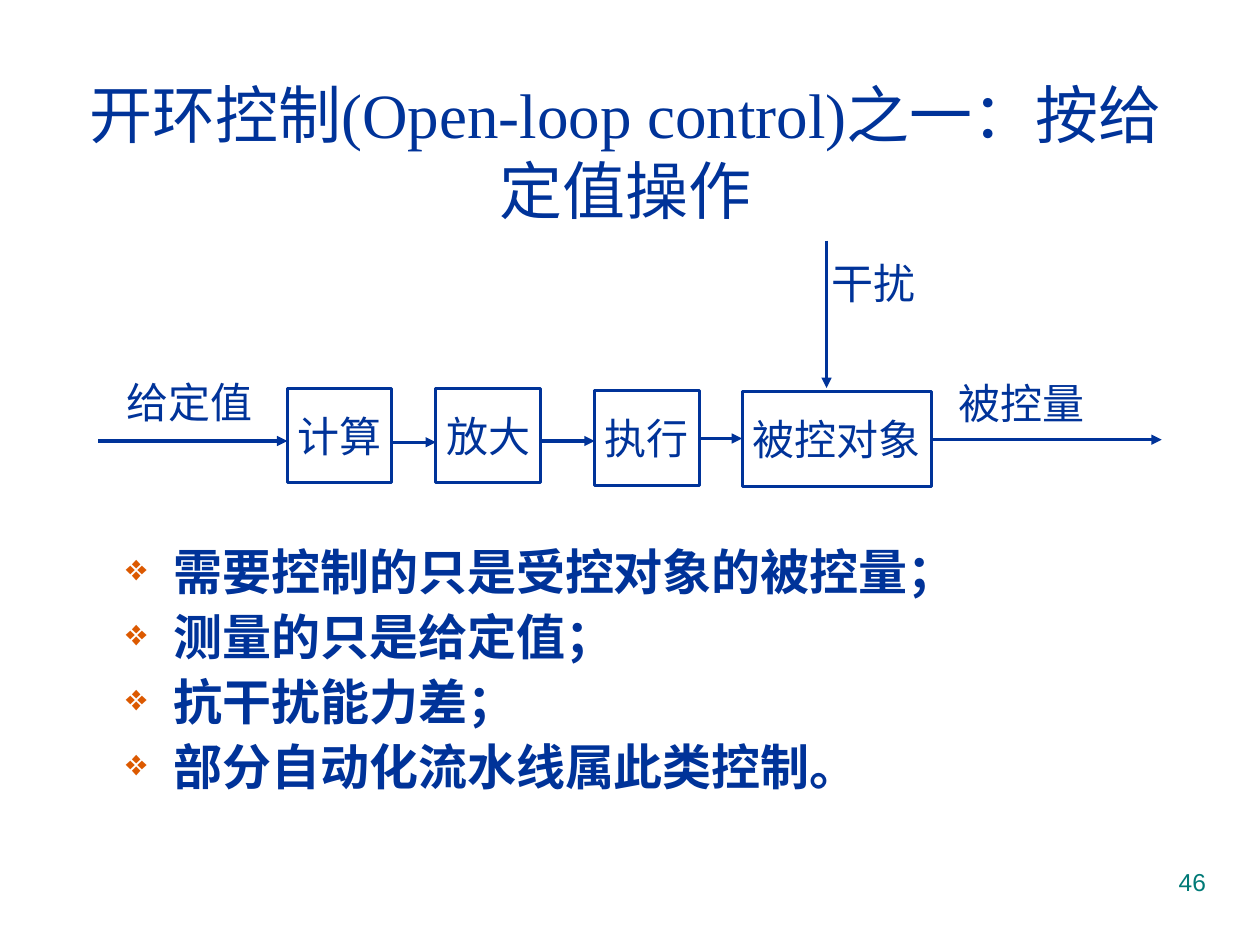
from dataclasses import dataclass

from lxml import etree
from pptx import Presentation
from pptx.dml.color import RGBColor
from pptx.enum.shapes import MSO_CONNECTOR, MSO_SHAPE
from pptx.enum.text import MSO_ANCHOR, MSO_AUTO_SIZE, PP_ALIGN
from pptx.oxml.ns import qn
from pptx.util import Inches, Pt

LEFT, CENTER, RIGHT = PP_ALIGN.LEFT, PP_ALIGN.CENTER, PP_ALIGN.RIGHT
TOP, MIDDLE = MSO_ANCHOR.TOP, MSO_ANCHOR.MIDDLE
STRAIGHT, RECT = MSO_CONNECTOR.STRAIGHT, MSO_SHAPE.RECTANGLE
NO_FIT = MSO_AUTO_SIZE.NONE


@dataclass(frozen=True)
class Theme:
    blue: str = "003399"
    teal: str = "007A77"
    orange: str = "DC5900"
    serif: str = "Times New Roman"
    sans: str = "Arial"
    cjk: str = "Noto Sans CJK SC"
    title: int = 36
    body: int = 28
    label: int = 24
    page: int = 14
    line: float = 1.75


@dataclass(frozen=True)
class Item:
    """A block or label of the diagram, in inches."""
    text: str
    x: float
    y: float
    w: float
    h: float


@dataclass(frozen=True)
class Arrow:
    x1: float
    y1: float
    x2: float
    y2: float


THEME = Theme()

TITLE = "开环控制(Open-loop control)之一：按给定值操作"
POINTS = [
    "需要控制的只是受控对象的被控量；",
    "测量的只是给定值；",
    "抗干扰能力差；",
    "部分自动化流水线属此类控制。",
]
BLOCKS = [
    Item("计算", 2.28, 3.08, 0.83, 0.75),
    Item("放大", 3.46, 3.08, 0.83, 0.75),
    Item("执行", 4.72, 3.10, 0.83, 0.75),
    Item("被控对象", 5.89, 3.11, 1.5, 0.75),
]
LABELS = [
    Item("给定值", 0.79, 2.98, 1.42, 0.42),
    Item("干扰", 6.47, 1.91, 0.92, 0.67),
    Item("被控量", 7.52, 3.11, 1.17, 0.17),
]
# Ends of the signal path and the height of each arrow along it
START, END = 0.78, 9.22
LEVELS = [3.5, 3.51, 3.5, 3.48, 3.49]
NOISE = Arrow(6.56, 1.91, 6.56, 3.08)


def add_bullet(para) -> None:
    props = para._p.get_or_add_pPr()
    props.set("marL", str(Inches(0.38)))
    props.set("indent", str(-Inches(0.38)))
    color = etree.SubElement(props, qn("a:buClr"))
    etree.SubElement(color, qn("a:srgbClr"), val=THEME.orange)
    etree.SubElement(props, qn("a:buSzPct"), val="75000")
    etree.SubElement(props, qn("a:buChar"), char="❖")


def put_text(shape, *lines: str, size: int = THEME.label, color: str = THEME.blue,
             font: str = THEME.serif, bold: bool = False, align=CENTER,
             anchor=MIDDLE, wrap: bool = False, bullet: bool = False) -> None:
    frame = shape.text_frame
    frame.auto_size = NO_FIT
    frame.word_wrap = wrap
    frame.vertical_anchor = anchor
    for i, line in enumerate(lines):
        para = frame.paragraphs[0] if i == 0 else frame.add_paragraph()
        para.alignment = align
        if bullet:
            para.line_spacing = 0.9
            para.space_before = Pt(7 if i else 0)
            add_bullet(para)
        run = para.add_run()
        run.text = line
        run.font.size = Pt(size)
        run.font.bold = bold
        run.font.color.rgb = RGBColor.from_string(color)
        run.font.name = font
        etree.SubElement(run._r.get_or_add_rPr(), qn("a:ea"), typeface=THEME.cjk)


def add_box(slide, x: float, y: float, w: float, h: float):
    return slide.shapes.add_textbox(Inches(x), Inches(y), Inches(w), Inches(h))


def set_line(line) -> None:
    line.color.rgb = RGBColor.from_string(THEME.blue)
    line.width = Pt(THEME.line)


def add_block(slide, item: Item) -> None:
    shape = slide.shapes.add_shape(
        RECT, Inches(item.x), Inches(item.y), Inches(item.w), Inches(item.h))
    shape.shadow.inherit = False
    shape.fill.background()
    set_line(shape.line)
    put_text(shape, item.text)


def add_arrow(slide, arrow: Arrow) -> None:
    link = slide.shapes.add_connector(
        STRAIGHT, Inches(arrow.x1), Inches(arrow.y1),
        Inches(arrow.x2), Inches(arrow.y2))
    set_line(link.line)
    props = link._element.spPr
    etree.SubElement(props.find(qn("a:ln")), qn("a:tailEnd"), type="triangle")
    etree.SubElement(props, qn("a:effectLst"))


def main() -> None:
    deck = Presentation()
    deck.slide_width, deck.slide_height = Inches(10), Inches(7.5)
    slide = deck.slides.add_slide(deck.slide_layouts[5])

    # Title
    title = slide.shapes.title
    title.left, title.top = Inches(0.6), Inches(0.68)
    title.width, title.height = Inches(8.73), Inches(1.04)
    put_text(title, TITLE, size=THEME.title, wrap=True)

    # Key points
    put_text(add_box(slide, 0.9, 4.3, 8.5, 2.45), *POINTS, size=THEME.body,
             font=THEME.cjk, bold=True, align=LEFT, anchor=TOP, wrap=True,
             bullet=True)

    # Blocks and labels
    for block in BLOCKS:
        add_block(slide, block)
    for item in LABELS:
        put_text(add_box(slide, item.x, item.y, item.w, item.h), item.text)

    # Arrows fill the gaps between blocks
    tails = [START] + [b.x + b.w for b in BLOCKS]
    heads = [b.x for b in BLOCKS] + [END]
    for tail, head, y in zip(tails, heads, LEVELS):
        add_arrow(slide, Arrow(tail, y, head, y))
    add_arrow(slide, NOISE)

    # Page number
    put_text(add_box(slide, 7.17, 6.83, 2.5, 0.52), "46", size=THEME.page,
             color=THEME.teal, font=THEME.sans, align=RIGHT, anchor=TOP, wrap=True)

    deck.save("out.pptx")


if __name__ == "__main__":
    main()
